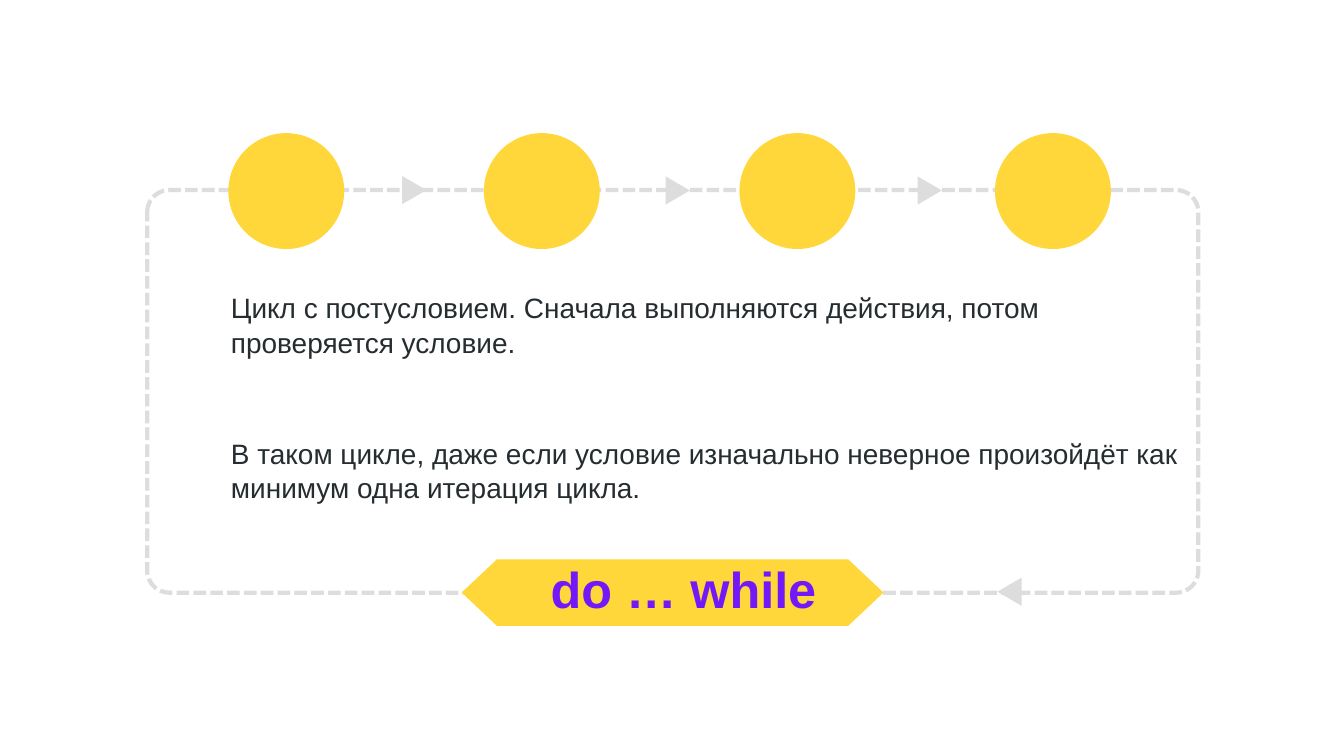
from typing import NamedTuple

from lxml import etree
from pptx import Presentation
from pptx.dml.color import RGBColor
from pptx.enum import dml, shapes, text
from pptx.oxml.ns import qn
from pptx.util import Cm, Pt

COLORS = {"yellow": "FFD73A", "grey": "DDDDDD", "ink": "252D30", "violet": "7318F9"}
KIND = shapes.MSO_SHAPE


class Area(NamedTuple):
    """Left, top, width and height in centimetres."""
    left: float
    top: float
    width: float
    height: float


class Arrow(NamedTuple):
    left: float
    top: float
    rotation: int


FRAME = Area(7.42, 9.58, 52.98, 20.29)
BANNER = Area(23.27, 28.19, 21.26, 3.35)
TITLE = Area(27.56, 27.97, 13.79, 3.33)
BODY = Area(11.51, 14.45, 48.9, 10.95)

CIRCLE_SIZE, CIRCLE_TOP, CIRCLE_STEP, CIRCLE_COUNT = 5.84, 6.71, 12.88, 4
ARROW_WIDTH, ARROW_HEIGHT = 1.42, 1.22
ARROWS = [Arrow(20.17, 8.97, 90), Arrow(33.45, 8.99, 90),
          Arrow(46.15, 8.99, 90), Arrow(50.17, 29.21, 270)]

PARAGRAPHS = [
    "Цикл с постусловием. Сначала выполняются действия, потом проверяется условие.",
    "В таком цикле, даже если условие изначально неверное "
    "произойдёт как минимум одна итерация цикла.",
]


def color(name: str) -> RGBColor:
    return RGBColor.from_string(COLORS[name])


def add_figure(page, kind, area: Area, fill: str | None = None):
    """Add a preset shape without outline or shadow."""
    figure = page.shapes.add_shape(kind, *map(Cm, area))
    figure.shadow.inherit = False
    figure.line.fill.background()
    if fill:
        figure.fill.solid()
        figure.fill.fore_color.rgb = color(fill)
    else:
        figure.fill.background()
    return figure


def add_frame(page) -> None:
    frame = add_figure(page, KIND.ROUNDED_RECTANGLE, FRAME)
    frame.adjustments[0] = 0.055
    frame.line.color.rgb = color("grey")
    frame.line.width = Pt(6)
    frame.line.dash_style = dml.MSO_LINE.SQUARE_DOT


def set_up_box(box, area: Area, anchor, wrap: bool):
    """Place a placeholder above the drawn shapes and format its frame."""
    box.element.getparent().append(box.element)
    for name, value in zip(Area._fields, area):
        setattr(box, name, Cm(value))
    frame = box.text_frame
    formats = {"margin_left": Cm(0.13), "margin_right": Cm(0.13),
               "margin_top": Cm(0.13), "margin_bottom": Cm(0.13),
               "vertical_anchor": anchor, "word_wrap": wrap,
               "auto_size": text.MSO_AUTO_SIZE.NONE}
    for name, value in formats.items():
        setattr(frame, name, value)
    return frame


def set_font(para, size: int, bold: bool, ink: str) -> None:
    for name, value in {"name": "Arial", "size": Pt(size), "bold": bold}.items():
        setattr(para.font, name, value)
    para.font.color.rgb = color(ink)


def fill_title(box) -> None:
    frame = set_up_box(box, TITLE, text.MSO_ANCHOR.MIDDLE, False)
    frame.text = "do … while"
    para = frame.paragraphs[0]
    para.alignment = text.PP_ALIGN.CENTER
    set_font(para, 72, True, "violet")


def fill_body(box) -> None:
    frame = set_up_box(box, BODY, text.MSO_ANCHOR.TOP, True)
    frame.text = "\n".join(PARAGRAPHS)
    for index, para in enumerate(frame.paragraphs):
        properties = para._p.get_or_add_pPr()
        properties.set("marL", "0")
        properties.set("indent", "0")
        etree.SubElement(properties, qn("a:buNone"))
        para.line_spacing = 1.04
        para.space_before = Pt(108 if index else 0)
        set_font(para, 40, False, "ink")


def main() -> None:
    deck = Presentation()
    deck.slide_width, deck.slide_height = Cm(67.74), Cm(38.1)
    page = deck.slides.add_slide(deck.slide_layouts[1])

    add_frame(page)
    banner = add_figure(page, KIND.LEFT_RIGHT_ARROW, BANNER, "yellow")
    banner.adjustments[0], banner.adjustments[1] = 1, 0.53
    for arrow in ARROWS:
        area = Area(arrow.left, arrow.top, ARROW_WIDTH, ARROW_HEIGHT)
        add_figure(page, KIND.ISOSCELES_TRIANGLE, area, "grey").rotation = arrow.rotation
    for index in range(CIRCLE_COUNT):
        left = BODY.left + index * CIRCLE_STEP
        add_figure(page, KIND.OVAL, Area(left, CIRCLE_TOP, CIRCLE_SIZE, CIRCLE_SIZE), "yellow")

    title, body = page.shapes.title, page.placeholders[1]
    fill_body(body)
    fill_title(title)
    deck.save("out.pptx")


if __name__ == "__main__":
    main()
